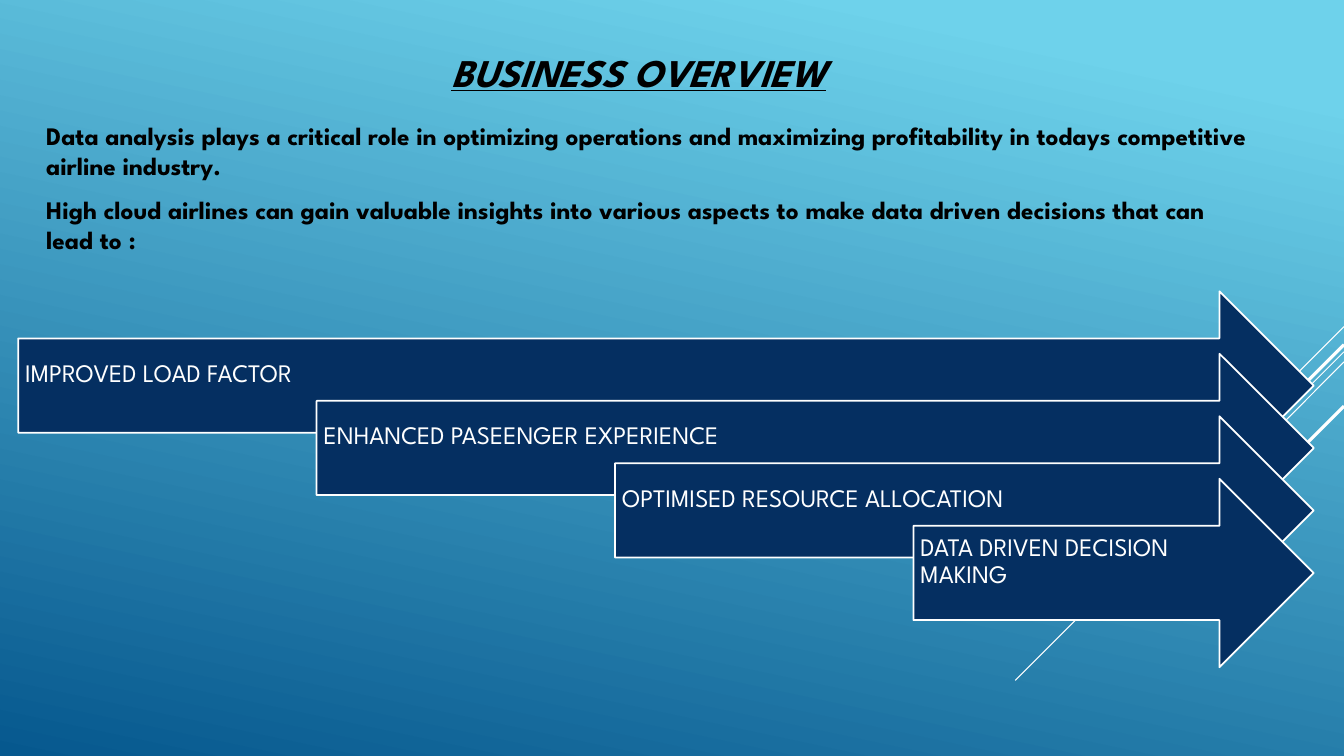
from lxml import etree
from pptx import Presentation
from pptx.dml.color import RGBColor
from pptx.enum import shapes, text
from pptx.oxml import ns
from pptx.util import Inches, Pt

FONT = "League Spartan"
BLACK = RGBColor(0x00, 0x00, 0x00)
WHITE = RGBColor(0xFF, 0xFF, 0xFF)
NAVY = RGBColor(0x05, 0x2F, 0x61)
SKY = RGBColor(0x6E, 0xD2, 0xEB)
OCEAN = RGBColor(0x06, 0x58, 0x8E)

# Diagonals: start x, start y, end x, end y, width in points
DIAGONALS = [
    (13.33, 3.24, 12.33, 4.24, 0.75),
    (13.33, 3.49, 10.07, 6.75, 0.75),
    (13.33, 3.59, 11.26, 5.67, 0.75),
    (13.33, 3.42, 11.42, 5.33, 2.25),
    (13.33, 4.03, 11.94, 5.42, 2.25),
]
OVERVIEW = [
    "Data analysis plays a critical role in optimizing operations and "
    "maximizing profitability in todays competitive airline industry.",
    "High cloud airlines can gain valuable insights into various aspects "
    "to make data driven decisions that can lead to :",
]
BENEFITS = [
    "IMPROVED LOAD FACTOR",
    "ENHANCED PASEENGER EXPERIENCE",
    "OPTIMISED RESOURCE ALLOCATION",
    "DATA DRIVEN DECISION MAKING",
]
ARROWS_LEFT, ARROWS_TOP, ARROWS_RIGHT = 0.18, 2.89, 13.03
STEP_X, STEP_Y = 2.96, 0.62
ARROW_HEIGHT = 1.87
LABEL_INSETS = (0.07, 0.07, 0.28, 0.3)


def paint_background(page):
    fill = page.background.fill
    fill.gradient()
    fill.gradient_angle = 258
    stops = zip(fill.gradient_stops, (SKY, OCEAN), (0.1, 1))
    for stop, color, position in stops:
        stop.color.rgb = color
        stop.position = position


def add_diagonal(page, x1, y1, x2, y2, width):
    line = page.shapes.add_connector(
        shapes.MSO_CONNECTOR.STRAIGHT,
        Inches(x1), Inches(y1), Inches(x2), Inches(y2))
    line.line.color.rgb = WHITE
    line.line.width = Pt(width)
    etree.SubElement(line._element.spPr, ns.qn("a:effectLst"))


def add_text(page, left, top, width, height, lines, size=18, color=BLACK,
             bold=False, italic=False, underline=False, align=None,
             anchor=text.MSO_ANCHOR.TOP, insets=(0.1, 0.05, 0.1, 0.05),
             before=0, after=0, spacing=1.0):
    box = page.shapes.add_textbox(
        Inches(left), Inches(top), Inches(width), Inches(height))
    frame = box.text_frame
    frame.word_wrap = True
    frame.vertical_anchor = anchor
    (frame.margin_left, frame.margin_top,
     frame.margin_right, frame.margin_bottom) = map(Inches, insets)
    for index, line in enumerate(lines):
        para = frame.add_paragraph() if index else frame.paragraphs[0]
        para.alignment = align
        para.space_before = Pt(before)
        para.space_after = Pt(after)
        para.line_spacing = spacing
        span = para.add_run()
        span.text = line
        font = span.font
        font.name, font.size = FONT, Pt(size)
        font.bold, font.italic, font.underline = bold, italic, underline
        font.color.rgb = color


def add_benefit(page, index, label):
    left = ARROWS_LEFT + index * STEP_X
    top = ARROWS_TOP + index * STEP_Y
    width = ARROWS_RIGHT - left
    arrow = page.shapes.add_shape(
        shapes.MSO_SHAPE.RIGHT_ARROW,
        Inches(left), Inches(top), Inches(width), Inches(ARROW_HEIGHT))
    arrow.shadow.inherit = False
    arrow.fill.solid()
    arrow.fill.fore_color.rgb = NAVY
    arrow.line.color.rgb = WHITE
    arrow.line.width = Pt(1.25)
    # The label fills the shaft and half of the arrowhead
    add_text(page, left, top + ARROW_HEIGHT / 4,
             width - ARROW_HEIGHT / 4, ARROW_HEIGHT / 2, [label],
             color=WHITE, anchor=text.MSO_ANCHOR.MIDDLE,
             insets=LABEL_INSETS, after=6.3, spacing=0.9)


def main():
    deck = Presentation()
    deck.slide_width, deck.slide_height = Inches(13.33), Inches(7.5)
    page = deck.slides.add_slide(deck.slide_layouts[6])

    # Backdrop
    paint_background(page)
    for diagonal in DIAGONALS:
        add_diagonal(page, *diagonal)

    # Title and introduction
    add_text(page, 0.92, 0.33, 10.83, 0.67, ["BUSINESS OVERVIEW"], size=28,
             bold=True, italic=True, underline=True,
             align=text.PP_ALIGN.CENTER, anchor=text.MSO_ANCHOR.BOTTOM)
    add_text(page, 0.36, 1.14, 12.15, 1.59, OVERVIEW, bold=True,
             before=3.6, after=6)

    # Staggered arrows
    for index, label in enumerate(BENEFITS):
        add_benefit(page, index, label)

    deck.save("out.pptx")


if __name__ == "__main__":
    main()
